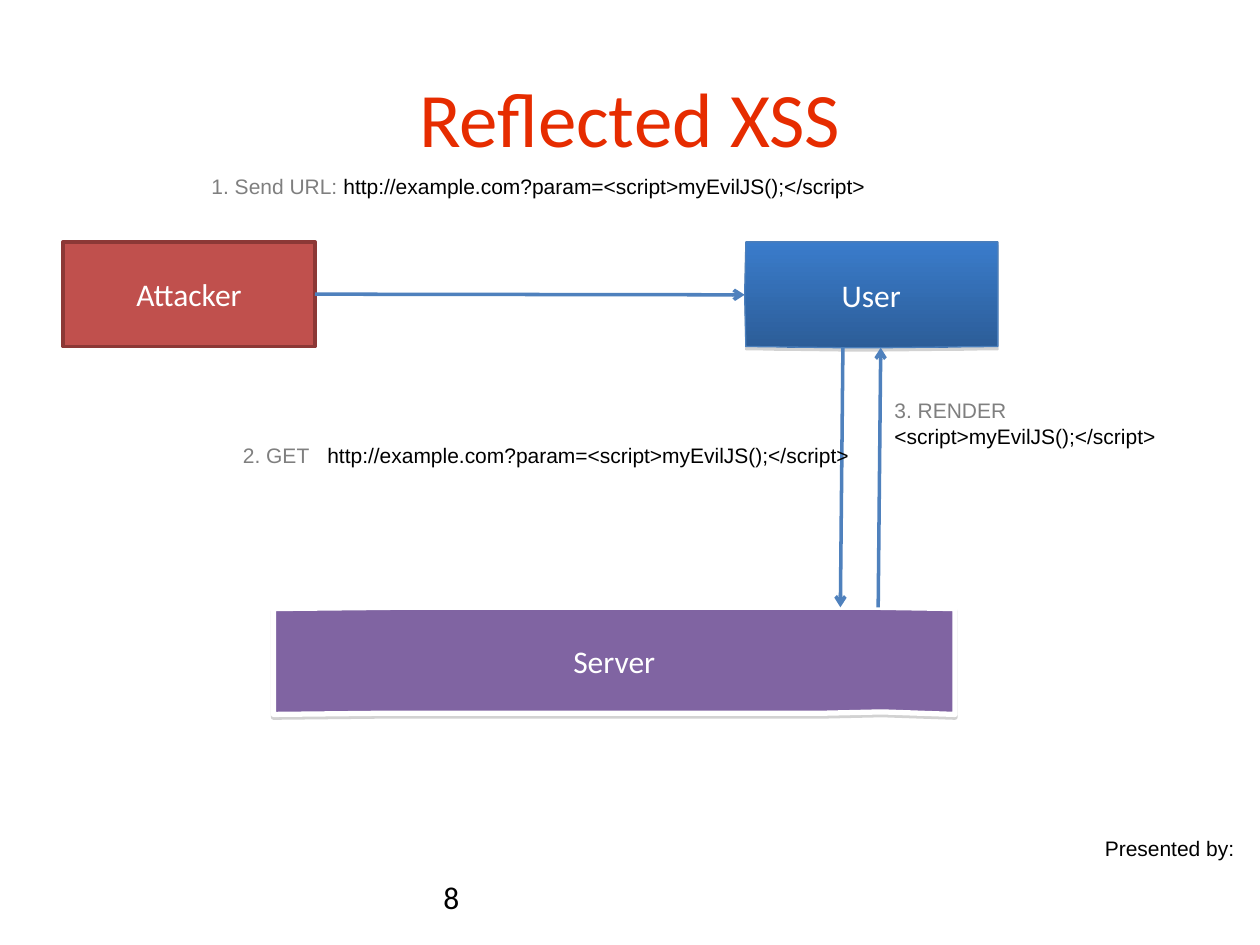
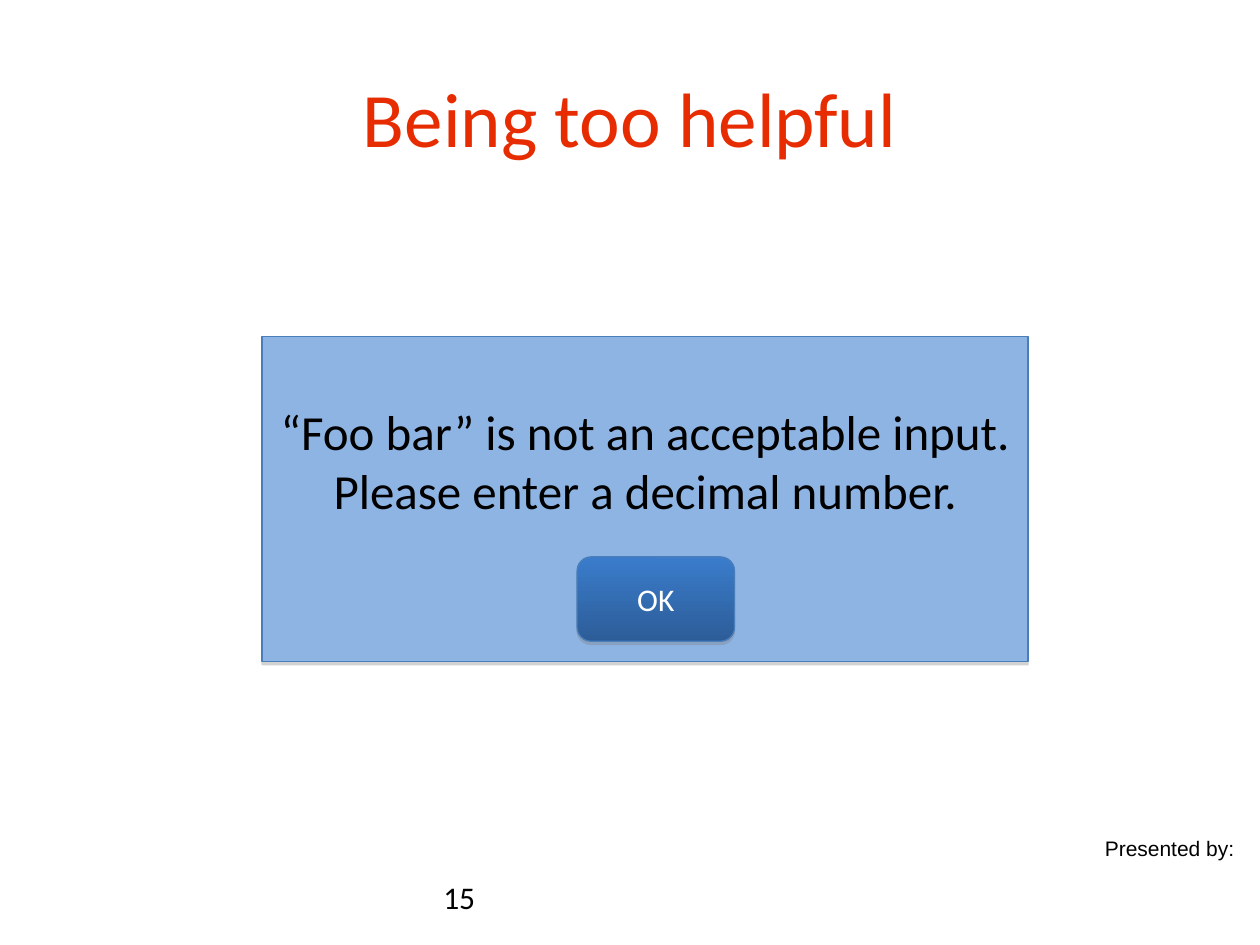
from dataclasses import dataclass

from lxml import etree
from pptx import Presentation
from pptx.dml.color import RGBColor
from pptx.enum import shapes, text
from pptx.oxml import ns
from pptx.util import Inches, Pt


@dataclass(frozen=True)
class Theme:
    # Colours
    title: str = "E62C00"
    ink: str = "000000"
    muted: str = "7F7F7F"
    white: str = "FFFFFF"
    attacker: str = "C0504D"
    attacker_edge: str = "8C3836"
    server: str = "8064A2"
    dialog: str = "8EB4E3"
    edge: str = "4A7EBB"
    arrow: str = "4F81BD"
    shadow: str = "808080"
    gradient: tuple = ("3A7CCB", "2C5D98")
    # Fonts and sizes
    heading_font: str = "Calibri"
    label_font: str = "Arial"
    title_size: int = 44
    message_size: int = 28
    box_size: int = 18
    label_size: int = 12


THEME = Theme()
CENTER = text.PP_ALIGN.CENTER
MIDDLE, TOP = text.MSO_ANCHOR.MIDDLE, text.MSO_ANCHOR.TOP
EXAMPLE_URL = "http://example.com?param=<script>myEvilJS();</script>"


def rgb(colour):
    return RGBColor.from_string(colour)


def write(shape, runs, size=THEME.box_size, font=THEME.heading_font,
          align=None, anchor=TOP, top_inset=0.05, tab=None):
    """Fill a shape with one paragraph of (words, colour) runs."""
    frame = shape.text_frame
    frame.word_wrap = True
    frame.auto_size = text.MSO_AUTO_SIZE.NONE
    frame.vertical_anchor = anchor
    frame.margin_left = frame.margin_right = Inches(0.1)
    frame.margin_top, frame.margin_bottom = Inches(top_inset), Inches(0.05)
    paragraph = frame.paragraphs[0]
    paragraph.alignment = align or text.PP_ALIGN.LEFT
    if tab:
        stops = etree.SubElement(paragraph._p.get_or_add_pPr(), ns.qn("a:tabLst"))
        etree.SubElement(stops, ns.qn("a:tab"), pos=str(Inches(tab)), algn="l")
    for words, colour in runs:
        run = paragraph.add_run()
        run.text = words
        run.font.name, run.font.size = font, Pt(size)
        run.font.color.rgb = rgb(colour)


def add_label(slide, place, runs, **style):
    write(slide.shapes.add_textbox(*map(Inches, place)), runs, **style)


def paint(shape, fill, edge, edge_width, shadow_distance=None):
    """Give a shape its fill (a colour or a pair), outline and shadow."""
    if isinstance(fill, tuple):
        shape.fill.gradient()
        shape.fill.gradient_angle = 270
        for stop, colour in zip(shape.fill.gradient_stops, fill):
            stop.color.rgb = rgb(colour)
    else:
        shape.fill.solid()
        shape.fill.fore_color.rgb = rgb(fill)
    shape.line.color.rgb = rgb(edge)
    shape.line.width = Pt(edge_width)
    shape.shadow.inherit = False
    if shadow_distance:
        effects = shape._element.spPr.find(ns.qn("a:effectLst"))
        shadow = etree.SubElement(effects, ns.qn("a:outerShdw"), blurRad="0",
                                  dist=str(Pt(shadow_distance)), dir="5400000",
                                  rotWithShape="0")
        colour = etree.SubElement(shadow, ns.qn("a:srgbClr"), val=THEME.shadow)
        etree.SubElement(colour, ns.qn("a:alpha"), val="35000")


def add_box(parent, kind, place, caption, colour=THEME.white, look=(), **style):
    box = parent.shapes.add_shape(kind, *map(Inches, place))
    paint(box, *look)
    style.setdefault("anchor", MIDDLE)
    write(box, [(caption, colour)], align=CENTER, **style)
    return box


def add_outline(slide, points, caption, look):
    corners = [(Inches(x), Inches(y)) for x, y in points]
    builder = slide.shapes.build_freeform(*corners[0])
    builder.add_line_segments(corners[1:], close=True)
    outline = builder.convert_to_shape()
    paint(outline, *look)
    write(outline, [(caption, THEME.white)], align=CENTER, anchor=MIDDLE)


def add_arrow(slide, start, end):
    arrow = slide.shapes.add_connector(shapes.MSO_CONNECTOR.STRAIGHT,
                                       *map(Inches, start + end))
    arrow.line.color.rgb = rgb(THEME.arrow)
    arrow.line.width = Pt(2)
    etree.SubElement(arrow.line._get_or_add_ln(), ns.qn("a:tailEnd"), type="arrow")
    etree.SubElement(arrow._element.spPr, ns.qn("a:effectLst"))
    return arrow


def new_slide(deck, heading, number):
    """Start a slide with the shared title, presenter line and number."""
    slide = deck.slides.add_slide(deck.slide_layouts[5])
    add_label(slide, (8.67, 6.58, 1.25, 0.3), [("Presented by:", THEME.ink)],
              size=THEME.label_size, font=THEME.label_font)
    title = slide.shapes.title
    title.left, title.top, title.width, title.height = map(Inches, (0.5, 0.3, 9, 1.25))
    write(title, [(heading, THEME.title)], size=THEME.title_size,
          align=CENTER, anchor=MIDDLE)
    add_label(slide, (3.42, 6.92, 2.33, 0.4), [(str(number), THEME.ink)])
    return slide


def build_reflected_xss(deck):
    slide = new_slide(deck, "Reflected XSS", 8)

    # Parties
    attacker = add_box(slide, shapes.MSO_SHAPE.FLOWCHART_PROCESS, (0.5, 1.92, 2, 0.83),
                       "Attacker", look=(THEME.attacker, THEME.attacker_edge, 2))
    add_outline(slide, [(5.92, 1.92), (7.92, 1.92), (7.92, 2.75), (6.99, 2.76),
                        (6.69, 2.76), (5.92, 2.75), (5.91, 2.34)],
                "User", (THEME.gradient, THEME.edge, 0.75, 1.8))
    add_outline(slide, [(2.17, 4.83), (3.13, 4.82), (6.97, 4.82), (7.58, 4.83),
                        (7.58, 5.67), (7, 5.65), (6.56, 5.66), (3.12, 5.66),
                        (2.17, 5.67)],
                "Server", (THEME.server, THEME.white, 3, 1.6))

    # Messages between them
    send = add_arrow(slide, (2.5, 2.33), (5.91, 2.34))
    send.begin_connect(attacker, 3)
    add_arrow(slide, (6.69, 2.76), (6.67, 4.82))
    add_arrow(slide, (6.97, 4.82), (6.99, 2.76))

    # Steps
    steps = [
        ((1.58, 1.33, 7.08, 0.3), "1. Send URL: ", EXAMPLE_URL, None),
        ((1.83, 3.46, 5.5, 0.5), "2. GET\t", EXAMPLE_URL, 0.67),
        ((7, 3.11, 3.08, 0.5), "3. RENDER ", "<script>myEvilJS();</script>", None),
    ]
    for place, step, payload, tab in steps:
        add_label(slide, place, [(step, THEME.muted), (payload, THEME.ink)],
                  size=THEME.label_size, font=THEME.label_font, tab=tab)


def build_too_helpful(deck):
    slide = new_slide(deck, "Being too helpful", 15)

    # Error dialog with its button
    dialog = slide.shapes.add_group_shape()
    add_box(dialog, shapes.MSO_SHAPE.RECTANGLE, (2.08, 2.67, 6.08, 2.58),
            "“Foo bar” is not an acceptable input. Please enter a decimal number.",
            colour=THEME.ink, look=(THEME.dialog, THEME.edge, 0.75, 1.8),
            size=THEME.message_size, anchor=TOP, top_inset=0.52)
    add_box(dialog, shapes.MSO_SHAPE.ROUNDED_RECTANGLE, (4.58, 4.42, 1.25, 0.67),
            "OK", look=(THEME.gradient, THEME.edge, 0.75, 1.8))


def main():
    deck = Presentation()
    deck.slide_width, deck.slide_height = Inches(10), Inches(7.5)
    build_reflected_xss(deck)
    build_too_helpful(deck)
    deck.save("out.pptx")


if __name__ == "__main__":
    main()
